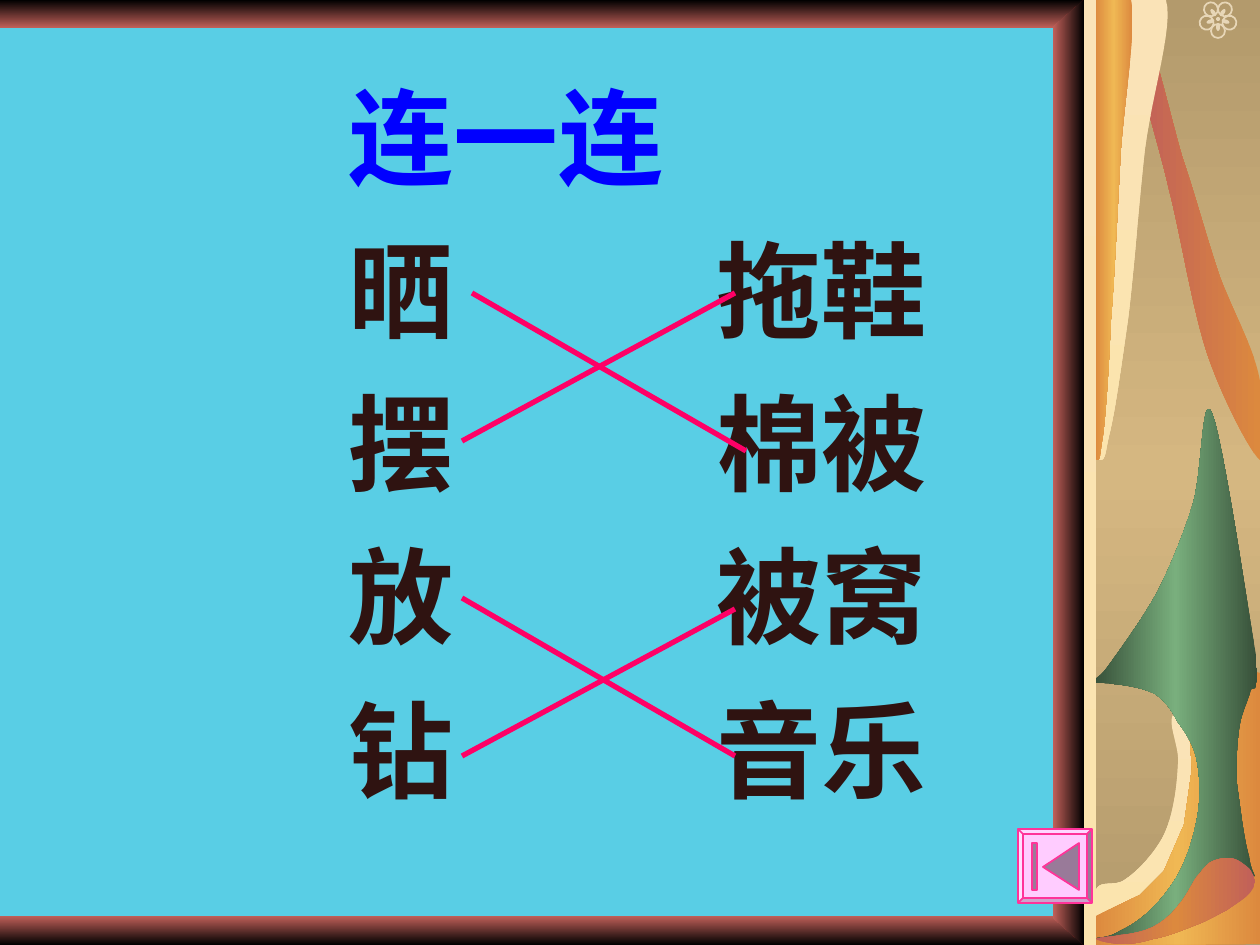
from collections import namedtuple
from copy import deepcopy
from math import cos, radians, sin

from lxml import etree
from pptx import Presentation
from pptx.dml.color import RGBColor
from pptx.enum.shapes import MSO_CONNECTOR, MSO_SHAPE
from pptx.enum.text import MSO_ANCHOR, MSO_AUTO_SIZE, PP_ALIGN
from pptx.oxml.ns import qn
from pptx.util import Pt

RECTANGLE, OVAL, BEVEL = MSO_SHAPE.RECTANGLE, MSO_SHAPE.OVAL, MSO_SHAPE.BEVEL
STRAIGHT = MSO_CONNECTOR.STRAIGHT
LEFT, TOP, NO_AUTOFIT = PP_ALIGN.LEFT, MSO_ANCHOR.TOP, MSO_AUTO_SIZE.NONE

PX = 914400 / 126
FONT = "Times New Roman"
COLORS = {
    "board": "59CEE5", "title": "0000FF", "word": "2F1311", "match": "FF0066",
    "black": "000000", "red": "C16059", "tan": "B39A6C", "sand": "D5B781",
    "cream": "FAE3B7", "butter": "FBE4AE", "orange": "DC893E", "gold": "F0B854",
    "moss": "375039", "green": "79AF7D", "flower": "E7D6B7",
    "button": "FFCCFF", "button line": "FF3399", "icon": "997A99",
}
ACROSS, DOWN, BACK = 0, 270, 180
CREAM = ("cream", "butter")
GOLD = ("orange", "gold", "orange")

Box = namedtuple("Box", "left top width height")

WORDS = [("晒", "拖鞋"), ("摆", "棉被"), ("放", "被窝"), ("钻", "音乐")]
MATCHES = [  # relative to the words box
    (136, 35, 410, 193), (126, 183, 399, 35),
    (126, 340, 399, 498), (126, 498, 399, 351),
]
# Each outline is a list of points (x, y) and curves (x1, y1, x2, y2, x, y).
SWIRL = [
    (177, 711), (163, 718, 181, 746, 178, 766), (177, 788, 173, 816, 164, 835),
    (155, 853, 138, 871, 126, 879), (115, 888, 101, 879, 96, 890),
    (96, 944), (260, 944), (260, 716), (246, 677, 194, 711, 177, 711),
]
BASE = [
    (94, 945), (94, 917), (140, 895), (164, 871), (184, 825),
    (192, 769), (189, 726), (244, 669), (260, 673), (260, 944),
]
LEAF = [
    (212, 413), (202, 388, 202, 475, 193, 504), (184, 533, 172, 563, 158, 591),
    (144, 617, 120, 650, 109, 665), (99, 680, 92, 678, 94, 682),
    (94, 684, 104, 682, 114, 684), (125, 685, 144, 688, 155, 694),
    (166, 701, 172, 711, 178, 722), (186, 733, 194, 745, 197, 761),
    (200, 777, 201, 798, 197, 819), (193, 839, 186, 864, 173, 883),
    (160, 902, 144, 920, 120, 931), (106, 940, 95, 936, 97, 939),
    (100, 940, 121, 945, 135, 942), (150, 940, 167, 934, 177, 925),
    (188, 917, 194, 901, 202, 891), (210, 882, 216, 873, 225, 869),
    (232, 866, 239, 868, 244, 869), (250, 871, 253, 878, 255, 876),
    (255, 874, 251, 871, 249, 856), (244, 840, 240, 805, 237, 784),
    (236, 762, 237, 745, 239, 730), (241, 714, 246, 706, 250, 693),
    (252, 680, 260, 706, 256, 655), (248, 610, 223, 438, 212, 413),
]
RIBBON = [
    (152, 50), (159, 64, 171, 118, 182, 156), (195, 194, 207, 239, 220, 277),
    (234, 314, 255, 350, 260, 381), (260, 460), (252, 455, 222, 398, 207, 353),
    (192, 307, 181, 236, 169, 189), (158, 142, 143, 96, 140, 73),
    (137, 50, 145, 37, 152, 50),
]
WIDE_DRAPE = [
    (95, 459), (106, 462, 104, 459, 109, 436), (115, 413, 121, 368, 128, 320),
    (134, 272, 139, 202, 145, 149), (152, 95, 174, 25, 166, 0), (95, 0),
]
NARROW_DRAPE = [
    (95, 459), (101, 462, 99, 459, 103, 436), (106, 413, 109, 368, 111, 320),
    (115, 272, 118, 202, 121, 149), (125, 96, 137, 25, 131, 0), (95, 0),
]
CURL = [
    (96, 939), (96, 937, 113, 937, 121, 935), (131, 934, 143, 932, 153, 927),
    (163, 922, 172, 914, 178, 906), (186, 897, 191, 886, 196, 878),
    (202, 871, 206, 865, 211, 862), (217, 859, 223, 858, 230, 858),
    (236, 859, 239, 861, 242, 863), (246, 866, 251, 869, 252, 873),
    (255, 877, 257, 883, 252, 890), (249, 896, 237, 903, 227, 910),
    (217, 915, 207, 921, 196, 925), (183, 930, 166, 937, 153, 939),
    (143, 942, 134, 944, 123, 944), (113, 944, 97, 941, 96, 939),
]
BEZEL = [(84, 0), (84, 945), (53, 918), (53, 27)]


def emu(*lengths):
    return [round(length * PX) for length in lengths]


def rgb(name):
    return RGBColor.from_string(COLORS[name])


def paint(shape, colors, angle=ACROSS, line=None):
    """Fill with no colour, one colour or an even gradient; line is a colour name."""
    shape.shadow.inherit = False
    if not colors:
        shape.fill.background()
    elif len(colors) == 1:
        shape.fill.solid()
        shape.fill.fore_color.rgb = rgb(colors[0])
    else:
        shape.fill.gradient()
        shape.fill.gradient_angle = angle
        stop_list = shape._element.spPr.find(".//" + qn("a:gsLst"))
        for _ in colors[2:]:
            stop_list.append(deepcopy(stop_list[-1]))
        for index, stop in enumerate(shape.fill.gradient_stops):
            stop.position = index / (len(colors) - 1)
            stop.color.rgb = rgb(colors[index])
    if line:
        shape.line.color.rgb = rgb(line)
        shape.line.width = Pt(1)
    else:
        shape.line.fill.background()


def add_preset(page, kind, box, colors, angle=ACROSS, line=None):
    shape = page.shapes.add_shape(kind, *emu(*box))
    paint(shape, colors, angle, line)
    return shape


def flatten(outline, steps=12):
    """Turn points and cubic curves into a plain list of points."""
    points = []
    for part in outline:
        if len(part) == 2:
            points.append(part)
            continue
        nodes = [points[-1], part[:2], part[2:4], part[4:]]
        for step in range(1, steps + 1):
            t = step / steps
            weights = ((1 - t) ** 3, 3 * t * (1 - t) ** 2, 3 * t * t * (1 - t), t ** 3)
            points.append(tuple(sum(weight * node[axis] for weight, node in zip(weights, nodes))
                                for axis in (0, 1)))
    return points


def add_outline(page, box, outline, colors, angle=ACROSS, line=None):
    points = [emu(box.left + x, box.top + y) for x, y in flatten(outline)]
    builder = page.shapes.build_freeform(*points[0], scale=1.0)
    builder.add_line_segments(points[1:], close=True)
    paint(builder.convert_to_shape(), colors, angle, line)


def add_flower(page, box):
    middle_x, middle_y = box.left + box.width / 2, box.top + box.height / 2

    def add_dot(distance, angle, width, height, colors, line=None):
        x = middle_x + distance * cos(radians(angle)) - width / 2
        y = middle_y + distance * sin(radians(angle)) - height / 2
        add_preset(page, OVAL, Box(x, y, width, height), colors, line=line).rotation = angle

    for angle in range(18, 360, 72):
        add_dot(12, angle, 14, 14, (), "flower")
        add_dot(8, angle, 8, 4, ("flower",))
    add_dot(0, 0, 4, 4, ("flower",))


def add_border_bars(page, box):
    bottom = box.top + box.height
    add_preset(page, RECTANGLE, Box(box.left, bottom - 29, box.width, 29), ("red", "black"), DOWN)
    add_preset(page, RECTANGLE, Box(box.left, box.top, box.width, 28), ("black", "red"), DOWN)


def add_side_panel(page, box):
    add_preset(page, RECTANGLE, Box(box.left + 96, box.top, box.width - 96, box.height),
               ("tan", "sand", "tan"), DOWN)
    add_flower(page, Box(box.left + 198, box.top, 40, 38))
    for outline, colors, angle in [
        (SWIRL, CREAM, DOWN), (BASE, GOLD, BACK),
        (LEAF, ("moss", "green", "moss"), BACK), (RIBBON, ("orange", "red"), BACK),
        (WIDE_DRAPE, CREAM, DOWN), (NARROW_DRAPE, GOLD, BACK),
        (CURL, ("red", "orange", "red"), BACK), (BEZEL, ("red", "black"), ACROSS),
    ]:
        add_outline(page, box, outline, colors, angle)
    add_preset(page, RECTANGLE, Box(box.left + 84, box.top, 12, box.height), CREAM, DOWN)


def format_words(frame, lines, color, tab=None):
    frame.word_wrap, frame.auto_size, frame.vertical_anchor = True, NO_AUTOFIT, TOP
    frame.text = "\n".join(lines)
    for index, para in enumerate(frame.paragraphs):
        para.alignment = LEFT
        para.line_spacing = Pt(50)
        para.space_before = Pt(37.5 if index else 0)
        if tab:
            tabs = etree.SubElement(para._p.get_or_add_pPr(), qn("a:tabLst"))
            etree.SubElement(tabs, qn("a:tab"), pos=str(emu(tab)[0]), algn="l")
        para.font.name, para.font.size, para.font.bold = FONT, Pt(60), True
        para.font.color.rgb = rgb(color)


def add_title(page, box):
    title = page.shapes.title
    title.left, title.top, title.width, title.height = emu(*box)
    format_words(title.text_frame, ["连一连"], "title")


def add_matching(page, box):
    words = page.shapes.add_textbox(*emu(*box))
    format_words(words.text_frame, ["\t".join(pair) for pair in WORDS], "word", tab=368)
    for x1, y1, x2, y2 in MATCHES:
        match = page.shapes.add_connector(
            STRAIGHT, *emu(box.left + x1, box.top + y1, box.left + x2, box.top + y2))
        match.line.color.rgb = rgb("match")
        match.line.width = Pt(3)
        etree.SubElement(match._element.spPr, qn("a:effectLst"))


def add_start_button(page, box):
    face = add_preset(page, BEVEL, box, ("button",), line="button line")
    face.adjustments[0] = 0.07
    for icon in ([(25, 38), (61, 14), (61, 61)], [(14, 14), (19, 14), (19, 61), (14, 61)]):
        add_outline(page, box, icon, ("icon",), line="button line")


def main():
    deck = Presentation()
    deck.slide_width, deck.slide_height = emu(1260, 945)
    page = deck.slides.add_slide(deck.slide_layouts[5])
    page.background.fill.solid()
    page.background.fill.fore_color.rgb = rgb("board")
    add_border_bars(page, Box(0, 0, 1084, 945))
    add_side_panel(page, Box(1000, 0, 260, 945))
    add_title(page, Box(336, 105, 672, 100))
    add_matching(page, Box(336, 258, 672, 560))
    add_start_button(page, Box(1018, 829, 74, 74))
    deck.save("out.pptx")


if __name__ == "__main__":
    main()
